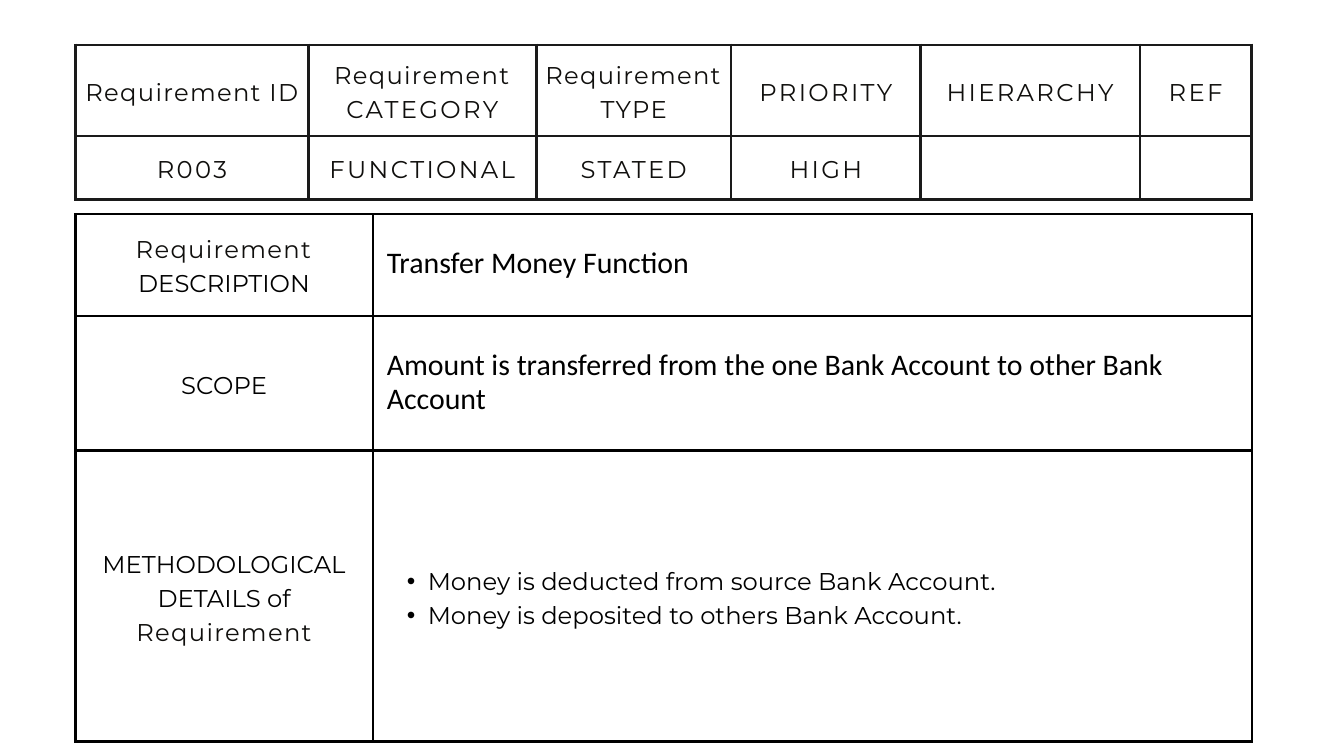
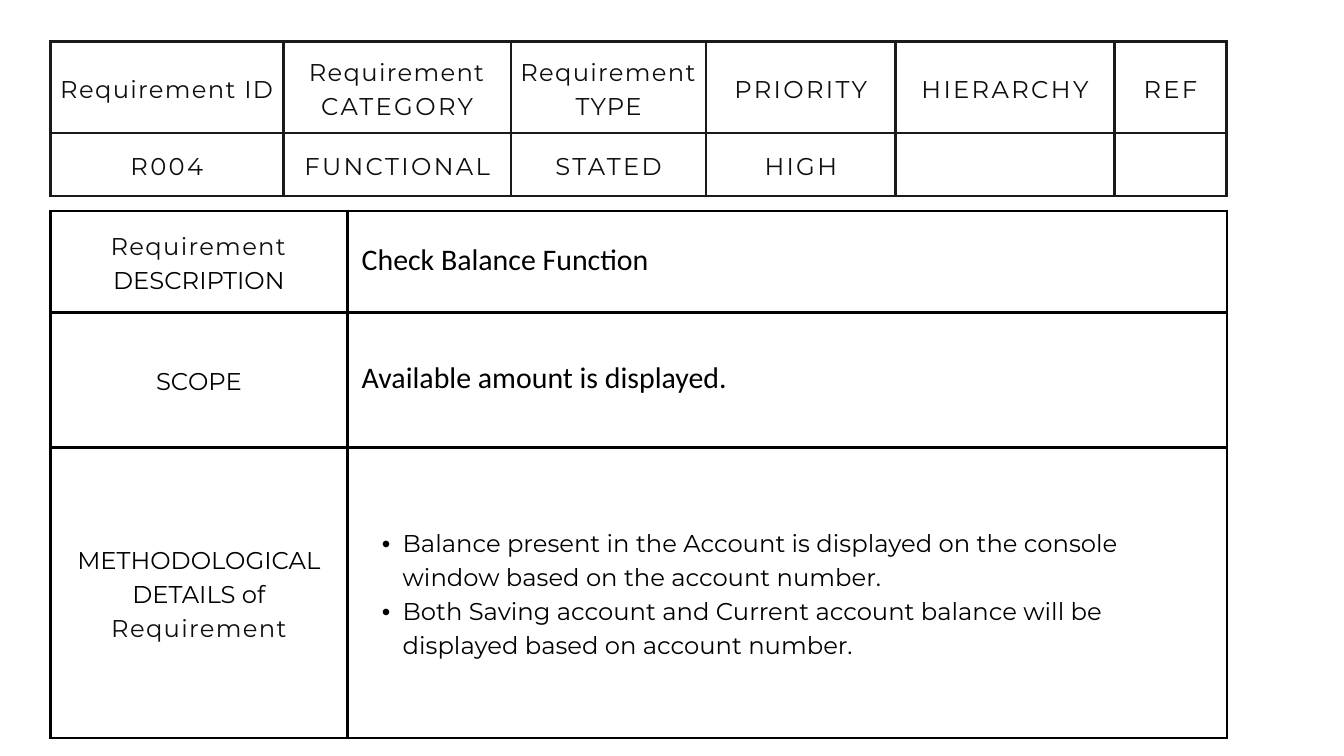
from pptx import Presentation
from pptx.dml.color import RGBColor
from pptx.enum.text import MSO_ANCHOR, PP_ALIGN
from pptx.oxml import parse_xml
from pptx.oxml.ns import nsdecls
from pptx.util import Cm, Pt

COLORS = {"header": "100F0D", "label": "010101", "text": "000000",
          "summary_line": "1A1A1A", "detail_line": "000000"}
MIXED = {"color": "header", "spacing": 1.4}
CAPS = {"color": "header", "spacing": 2.5}
LABEL = {"color": "label"}
BODY = {"font": "Calibri", "size": 32, "align": PP_ALIGN.LEFT}

SUMMARY_COLS, SUMMARY_ROWS = [8.81, 8.61, 7.37, 7.16, 8.28, 4.22], [3.45, 2.39]
DETAIL_COLS, DETAIL_ROWS = [11.24, 33.24], [3.84, 5.1, 11]
DETAIL_OFFSET = 6.4

HEADERS = [
    [("Requirement ID", MIXED)],
    [("Requirement ", MIXED), ("CATEGORY", CAPS)],
    [("Requirement TYPE", MIXED)],
    [("PRIORITY", CAPS)],
    [("HIERARCHY", CAPS)],
    [("REF", CAPS)],
]
LABELS = [
    [("Requirement ", MIXED), ("DESCRIPTION", LABEL)],
    [("SCOPE", LABEL)],
    [("METHODOLOGICAL DETAILS of ", LABEL), ("Requirement", MIXED)],
]
REQUIREMENTS = [
    {"left": 2.85, "top": 1.7, "id": "R003",
     "description": "Transfer Money Function",
     "scope": "Amount is transferred from the one Bank Account to other Bank Account",
     "details": ["Money is deducted from source Bank Account.",
                 "Money is deposited to others Bank Account."]},
    {"left": 1.9, "top": 1.57, "id": "R004",
     "description": "Check Balance Function",
     "scope": "Available amount is displayed.",
     "details": ["Balance present in the Account is displayed on the console "
                 "window based on the account number.",
                 "Both Saving account and Current account balance will be "
                 "displayed based on account number."]},
]


def add_grid(s, left, top, widths, heights, margin, line):
    """Add an unfilled table with the same border round every cell."""
    table = s.shapes.add_table(len(heights), len(widths), Cm(left), Cm(top),
                               Cm(sum(widths)), Cm(sum(heights))).table
    table.first_row = table.horz_banding = False
    for col, width in zip(table.columns, widths):
        col.width = Cm(width)
    for row, height in zip(table.rows, heights):
        row.height = Cm(height)
    for cell in table.iter_cells():
        cell.fill.background()
        cell.vertical_anchor = MSO_ANCHOR.MIDDLE
        cell.margin_left = cell.margin_right = Cm(margin)
        cell.margin_top = cell.margin_bottom = Cm(margin)
        tcPr = cell._tc.get_or_add_tcPr()
        for i, side in enumerate("LRTB"):
            tcPr.insert(i, parse_xml(
                f'<a:ln{side} {nsdecls("a")} w="{Pt(3)}"><a:solidFill>'
                f'<a:srgbClr val="{COLORS[line]}"/></a:solidFill></a:ln{side}>'))
    return table


def write(cell, text, font="Montserrat", size=26, color="text", spacing=0,
          align=PP_ALIGN.CENTER, bullet=False):
    """Append a run to the cell; each bullet gets its own paragraph."""
    tf = cell.text_frame
    p = tf.paragraphs[-1]
    if bullet and p.runs:
        p = tf.add_paragraph()
    p.alignment = align
    p.line_spacing = Pt(36.4)
    if bullet:
        p.level = 1
        pPr = p._p.get_or_add_pPr()
        pPr.set("marL", str(Cm(1.55)))
        pPr.set("indent", str(-Cm(0.79)))
        pPr.append(parse_xml(f'<a:buFont {nsdecls("a")} typeface="Arial"/>'))
        pPr.append(parse_xml(f'<a:buChar {nsdecls("a")} char="•"/>'))
    r = p.add_run()
    r.text = text
    r.font.name = font
    r.font.size = Pt(size)
    r.font.color.rgb = RGBColor.from_string(COLORS[color])
    r._r.get_or_add_rPr().set("spc", str(round(spacing * 100)))


prs = Presentation()
prs.slide_width, prs.slide_height = Cm(50.8), Cm(28.58)

for req in REQUIREMENTS:
    s = prs.slides.add_slide(prs.slide_layouts[6])

    summary = add_grid(s, req["left"], req["top"], SUMMARY_COLS, SUMMARY_ROWS,
                       margin=0.3, line="summary_line")
    for col, runs in enumerate(HEADERS):
        for text, style in runs:
            write(summary.cell(0, col), text, **style)
    for col, value in enumerate([req["id"], "FUNCTIONAL", "STATED", "HIGH"]):
        write(summary.cell(1, col), value, **CAPS)

    detail = add_grid(s, req["left"], req["top"] + DETAIL_OFFSET, DETAIL_COLS,
                      DETAIL_ROWS, margin=0.53, line="detail_line")
    for row, runs in enumerate(LABELS):
        for text, style in runs:
            write(detail.cell(row, 0), text, **style)
    write(detail.cell(0, 1), req["description"], **BODY)
    write(detail.cell(1, 1), req["scope"], **BODY)
    for item in req["details"]:
        write(detail.cell(2, 1), item, align=PP_ALIGN.LEFT, bullet=True)

prs.save("out.pptx")
